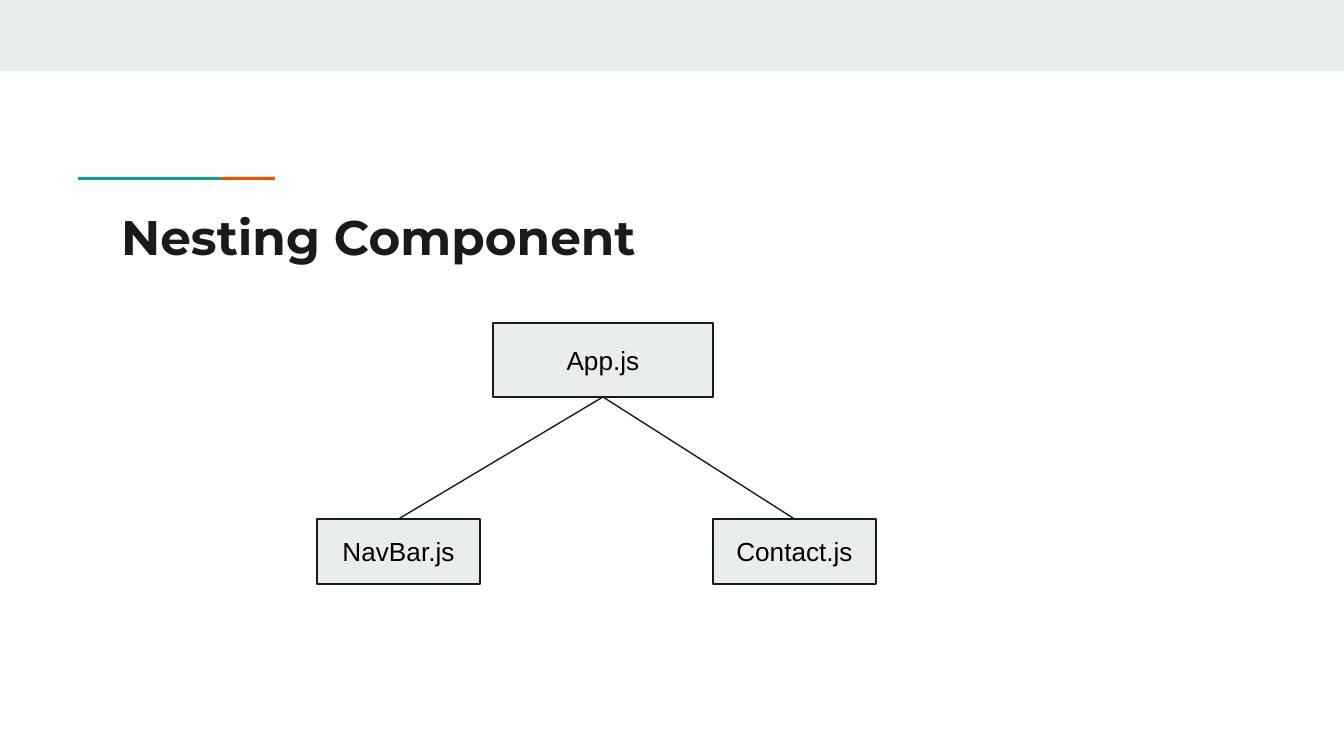
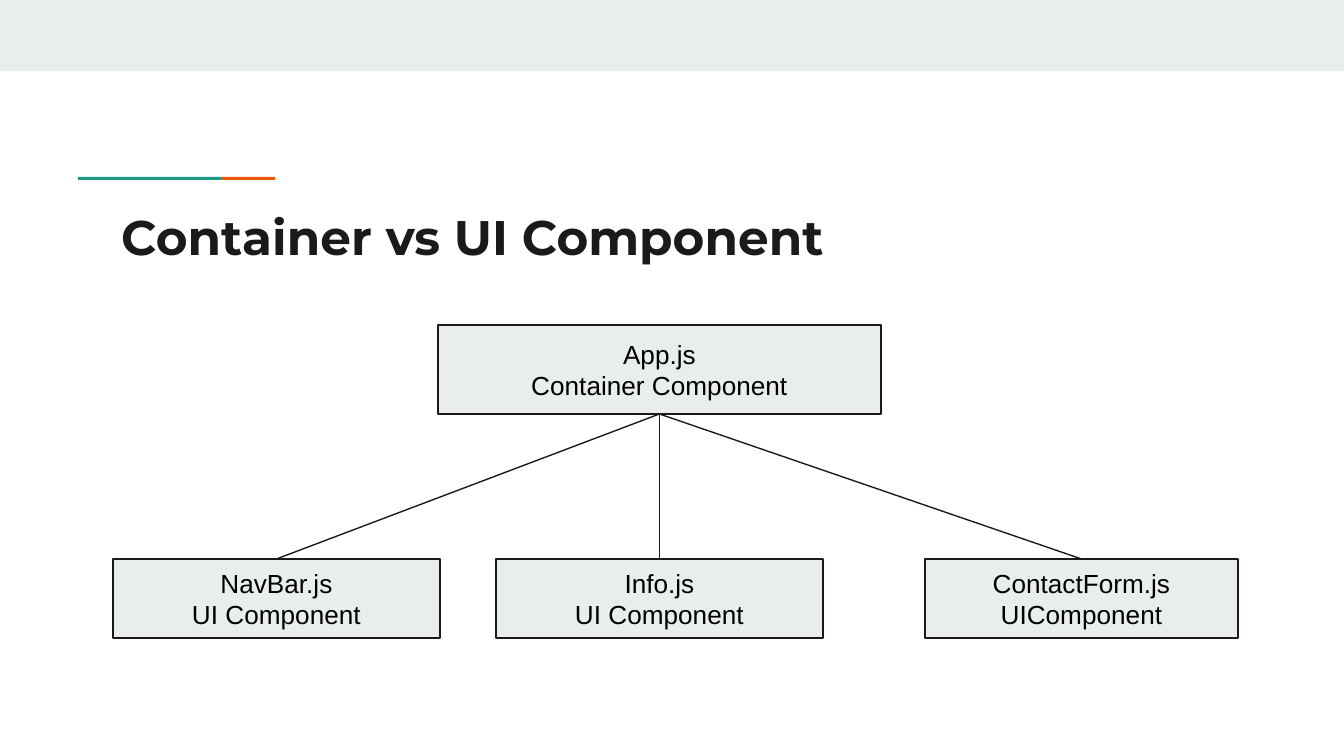
from lxml import etree
from pptx import Presentation
from pptx import util as u
from pptx.dml.color import RGBColor
from pptx.enum import shapes, text
from pptx.oxml.ns import qn

PX = 914400 / 134.4  # EMU per pixel
COLORS = {"band": "E9EDEE", "ink": "1A1A1A", "label": "000000",
          "teal": "1A9988", "orange": "EB5600"}
TITLE = {"size": u.Pt(26), "name": "Montserrat", "bold": True}
LABEL = {"size": u.Pt(14), "name": "Arial", "bold": False}
INSET = round(13.44 * PX)
FRAME = {"margin_left": INSET, "margin_right": INSET, "margin_top": INSET,
         "margin_bottom": INSET, "word_wrap": True}

# Bars shared by both slides: left, top, width, height, colour
BARS = [(0, 0, 1344, 71, "band"),
        (221, 177, 54, 3, "orange"),
        (78, 177, 143, 3, "teal")]

# Each tree: title, root box, then the boxes nested under it
TREES = [
    ("Nesting Component",
     (493, 323, 220, 74, ["App.js"]),
     [(317, 519, 163, 65, ["NavBar.js"]),
      (713, 519, 163, 65, ["Contact.js"])]),
    ("Container vs UI Component",
     (438, 325, 443, 89, ["App.js", "Container Component"]),
     [(113, 559, 327, 79, ["NavBar.js", "UI Component"]),
      (496, 559, 327, 79, ["Info.js", "UI Component"]),
      (925, 559, 313, 79, ["ContactForm.js", "UIComponent"])]),
]


def write(shape, lines, font, color, anchor, align):
    """Fill a shape with one paragraph per line in the given format."""
    frame = shape.text_frame
    for key, value in {**FRAME, "vertical_anchor": anchor}.items():
        setattr(frame, key, value)
    frame.text = "\n".join(lines)
    for paragraph in frame.paragraphs:
        paragraph.alignment = align
        run_font = paragraph.runs[0].font
        for key, value in font.items():
            setattr(run_font, key, value)
        run_font.color.rgb = RGBColor.from_string(COLORS[color])


def add_box(slide, left, top, width, height, fill, outlined=False):
    """Add a flat rectangle, with a thin dark outline on request."""
    box = slide.shapes.add_shape(
        shapes.MSO_SHAPE.RECTANGLE,
        *(round(v * PX) for v in (left, top, width, height)))
    box.shadow.inherit = False
    box.fill.solid()
    box.fill.fore_color.rgb = RGBColor.from_string(COLORS[fill])
    if outlined:
        box.line.color.rgb = RGBColor.from_string(COLORS["ink"])
        box.line.width = u.Pt(0.75)
    else:
        box.line.fill.background()
    return box


deck = Presentation()
deck.slide_width, deck.slide_height = round(1344 * PX), round(756 * PX)

for heading, root, children in TREES:
    slide = deck.slides.add_slide(deck.slide_layouts[6])
    for bar in BARS:
        add_box(slide, *bar)

    title = slide.shapes.add_textbox(
        *(round(v * PX) for v in (108, 194, 1130, 79)))
    write(title, [heading], TITLE, "ink",
          text.MSO_ANCHOR.TOP, text.PP_ALIGN.LEFT)

    components = []
    for *place, lines in [root, *children]:
        component = add_box(slide, *place, "band", outlined=True)
        write(component, lines, LABEL, "label",
              text.MSO_ANCHOR.MIDDLE, text.PP_ALIGN.CENTER)
        components.append(component)

    # Branches run from the root's bottom middle to each child's top middle
    app, *nested = components
    for child in nested:
        branch = slide.shapes.add_connector(
            shapes.MSO_CONNECTOR.STRAIGHT, 0, 0, 0, 0)
        branch.begin_connect(app, 2)
        branch.end_connect(child, 0)
        branch.line.color.rgb = RGBColor.from_string(COLORS["ink"])
        branch.line.width = u.Pt(0.75)
        etree.SubElement(branch._element.spPr, qn("a:effectLst"))

deck.save("out.pptx")
